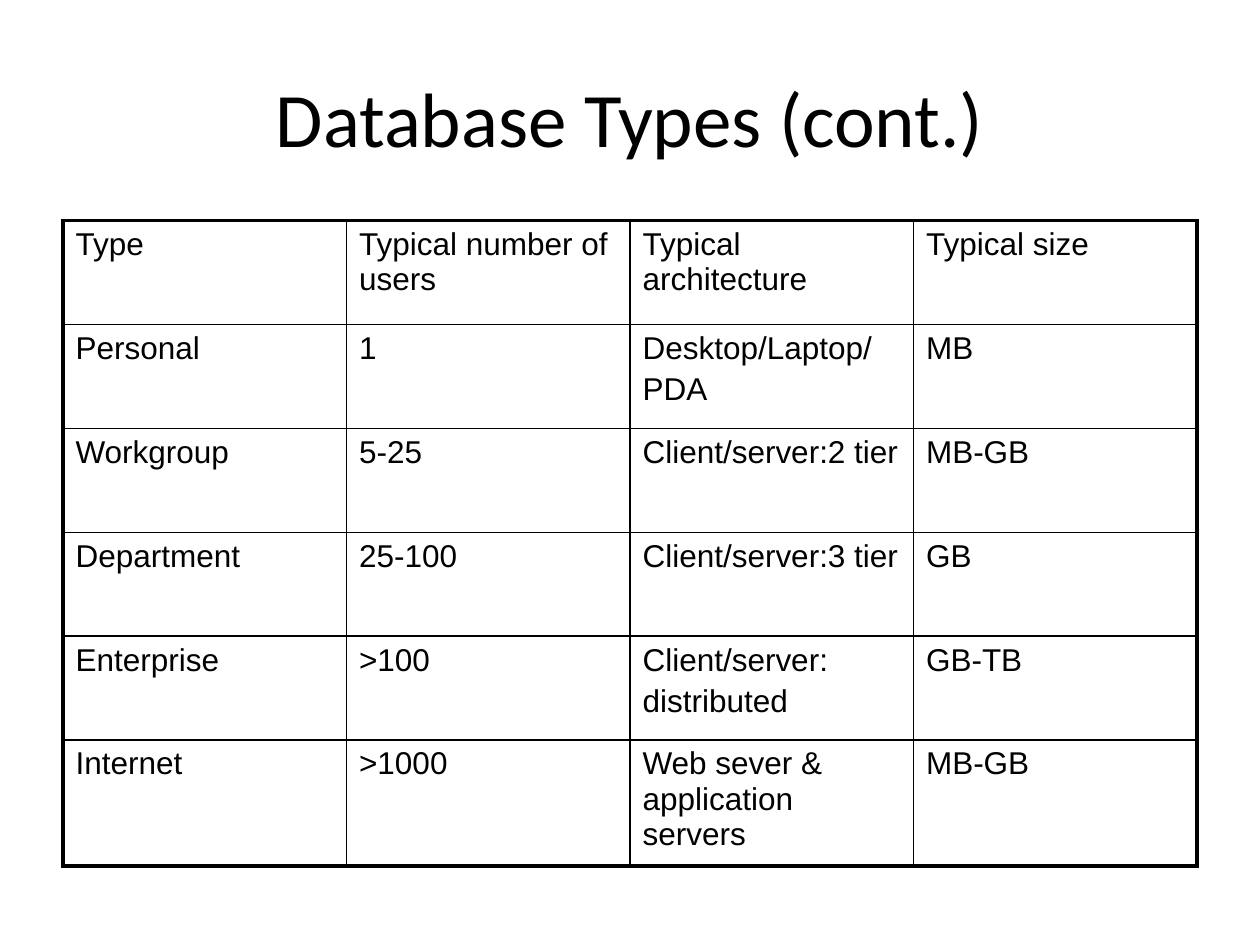
from lxml.etree import SubElement
from pptx import Presentation
from pptx.dml.color import RGBColor
from pptx.enum.text import MSO_ANCHOR, PP_ALIGN
from pptx.oxml.ns import qn
from pptx.util import Inches, Pt

BLACK = RGBColor(0, 0, 0)
OUTER_WIDTH = Pt(2.25)
INNER_WIDTH = Pt(1)

DATABASE_TYPES = [
    ["Type", "Typical number of users", "Typical architecture", "Typical size"],
    ["Personal", "1", "Desktop/Laptop/\nPDA", "MB"],
    ["Workgroup", "5-25", "Client/server:2 tier", "MB-GB"],
    ["Department", "25-100", "Client/server:3 tier", "GB"],
    ["Enterprise", ">100", "Client/server:\ndistributed", "GB-TB"],
    ["Internet", ">1000", "Web sever & application servers", "MB-GB"],
]


class SlideBuilder:
    title_font = "Calibri"
    title_size = Pt(44)
    body_font = "Arial"
    body_size = Pt(18)
    paragraph_gap = Pt(3.6)

    def __init__(self, slide):
        self.slide = slide

    def style_text(self, text_frame, font_name, font_size, alignment):
        for index, paragraph in enumerate(text_frame.paragraphs):
            paragraph.alignment = alignment
            if index:
                paragraph.space_before = self.paragraph_gap
            for run in paragraph.runs:
                run.font.name = font_name
                run.font.size = font_size
                run.font.color.rgb = BLACK

    def add_title(self, text, left, top, width, height):
        shape = self.slide.shapes.add_textbox(left, top, width, height)
        text_frame = shape.text_frame
        text_frame.word_wrap = True
        text_frame.vertical_anchor = MSO_ANCHOR.MIDDLE
        text_frame.text = text
        self.style_text(text_frame, self.title_font, self.title_size, PP_ALIGN.CENTER)

    def add_border(self, cell, side, width):
        properties = cell._tc.get_or_add_tcPr()
        line = SubElement(properties, qn(f"a:ln{side}"), w=str(width))
        fill = SubElement(line, qn("a:solidFill"))
        SubElement(fill, qn("a:srgbClr"), val=str(BLACK))

    def add_table(self, rows, left, top, width, row_height):
        row_count, column_count = len(rows), len(rows[0])
        shape = self.slide.shapes.add_table(
            row_count, column_count, left, top, width, row_height * row_count
        )
        table = shape.table
        table.first_row = False
        table.horz_banding = False
        for row_index, row in enumerate(rows):
            for column_index, text in enumerate(row):
                cell = table.cell(row_index, column_index)
                cell.text_frame.text = text
                self.style_text(
                    cell.text_frame, self.body_font, self.body_size, PP_ALIGN.LEFT
                )
                outer_sides = {
                    "L": column_index == 0,
                    "R": column_index == column_count - 1,
                    "T": row_index == 0,
                    "B": row_index == row_count - 1,
                }
                for side, is_outer in outer_sides.items():
                    self.add_border(cell, side, OUTER_WIDTH if is_outer else INNER_WIDTH)
                cell.fill.background()


def main():
    presentation = Presentation()
    presentation.slide_width = Inches(10)
    presentation.slide_height = Inches(7.5)
    slide = presentation.slides.add_slide(presentation.slide_layouts[6])
    builder = SlideBuilder(slide)
    builder.add_title(
        "Database Types (cont.)", Inches(0.5), Inches(0.3), Inches(9), Inches(1.25)
    )
    builder.add_table(
        DATABASE_TYPES, Inches(0.5), Inches(1.75), Inches(9), Inches(0.825)
    )
    presentation.save("out.pptx")


if __name__ == "__main__":
    main()
